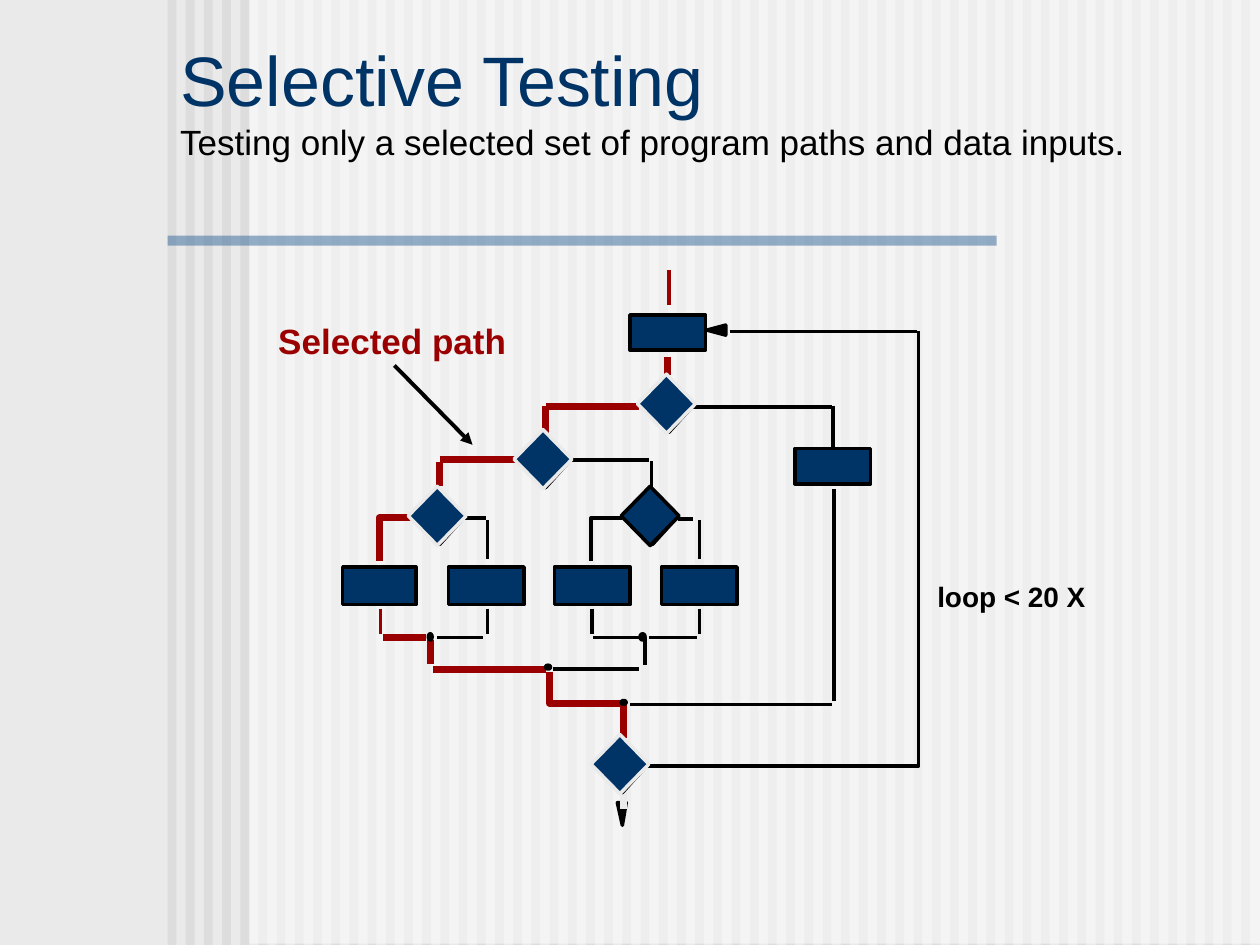
from lxml import etree
from pptx import Presentation
from pptx.dml.color import RGBColor
from pptx.enum import shapes as shp, text as txt
from pptx.oxml import ns
from pptx.util import Cm, Pt

NAVY = RGBColor(0x00, 0x33, 0x66)
BLUE = RGBColor(0x33, 0x66, 0x99)
RED = RGBColor(0x9A, 0x00, 0x00)
BLACK = RGBColor(0, 0, 0)
WHITE = RGBColor(0xFF, 0xFF, 0xFF)
PAPER = RGBColor(0xEA, 0xEA, 0xEA)
STRIPE = RGBColor(0xDD, 0xDD, 0xDD)
FONT = "Arial"
THIN, THICK = 2, 4

# Content; coordinates are in inches and converted to Cm by cm()
TITLE = [("Selective Testing", 40, NAVY),
         ("Testing only a selected set of program paths and data inputs.", 20, BLACK)]
LABELS = [("loop < 20 X", (7.34, 4.55, 1.38, 0.36), 16, BLACK),
          ("Selected path", (2.11, 2.49, 2.01, 0.43), 20, RED)]
STEPS = [(5, 2.5, 0.6, 0.28), (2.72, 4.5, 0.58, 0.3), (3.56, 4.5, 0.6, 0.3),
         (4.4, 4.5, 0.6, 0.3), (5.25, 4.5, 0.6, 0.3)]
SIDE_STEP = (6.31, 3.56, 0.6, 0.28)
DECISIONS = [(5.06, 2.97, PAPER), (4.08, 3.41, PAPER), (3.24, 3.86, PAPER),
             (4.93, 3.86, BLACK), (4.69, 5.83, PAPER)]
JOINS = [(5.08, 5.03, 0.04, 0.05), (3.4, 5.03, 0.03, 0.05),
         (4.33, 5.28, 0.04, 0.03), (4.93, 5.56, 0.04, 0.03)]
SELECTED_LINES = [  # x1, y1, x2, y2, width
    (5.31, 2.14, 5.31, 2.42, THIN), (5.3, 2.83, 5.3, 2.98, THICK),
    (5.07, 3.23, 4.33, 3.23, THICK), (4.33, 3.44, 4.33, 3.22, THICK),
    (4.14, 3.65, 3.49, 3.65, THICK), (3.49, 3.67, 3.49, 3.86, THICK),
    (3.02, 4.83, 3.02, 5.03, THIN), (3.04, 5.06, 3.38, 5.06, THICK),
    (3.42, 5.08, 3.42, 5.27, THICK), (3.44, 5.31, 4.33, 5.31, THICK),
    (4.95, 5.86, 4.95, 5.58, THICK)]
OTHER_LINES = [
    (5.79, 2.63, 7.28, 2.63), (5.5, 3.23, 6.6, 3.23), (4.53, 3.65, 5.15, 3.65),
    (5.17, 3.66, 5.17, 3.88), (3.67, 4.11, 3.86, 4.11), (5.38, 4.12, 5.5, 4.12),
    (3.87, 4.13, 3.87, 4.44), (5.55, 4.13, 5.55, 4.44),
    (3.87, 4.83, 3.87, 5.03), (4.7, 4.83, 4.7, 5.03), (5.55, 4.83, 5.55, 5.03),
    (3.47, 5.06, 3.83, 5.06), (4.71, 5.06, 5.13, 5.06), (5.15, 5.06, 5.53, 5.06),
    (5.12, 5.06, 5.12, 5.28), (5.07, 5.31, 4.39, 5.31),
    (6.62, 3.88, 6.62, 5.56), (5, 5.59, 6.6, 5.59), (4.95, 6.3, 4.95, 6.36)]
BENDS = [
    ([(3.26, 4.11), (3.01, 4.11), (3.01, 4.45)], RED, THICK),
    ([(4.36, 5.33), (4.36, 5.58), (4.94, 5.58)], RED, THICK),
    ([(4.94, 4.11), (4.69, 4.11), (4.69, 4.45)], BLACK, THIN),
    ([(5.14, 6.08), (7.29, 6.08), (7.29, 2.63)], BLACK, THIN)]
ARROWHEADS = [[(5.61, 2.62), (5.76, 2.58), (5.76, 2.66)],
              [(4.94, 6.55), (4.9, 6.37), (4.97, 6.37)]]


def cm(inches):
    return Cm(inches * 2.54)


def add_preset(kind, box, fill, line=None, alpha=None):
    shape = slide.shapes.add_shape(kind, *map(cm, box))
    shape.shadow.inherit = False
    shape.fill.solid()
    shape.fill.fore_color.rgb = fill
    if alpha:
        color = shape._element.spPr.find(".//" + ns.qn("a:srgbClr"))
        etree.SubElement(color, ns.qn("a:alpha"), val=str(alpha * 1000))
    if line is None:
        shape.line.fill.background()
    else:
        shape.line.color.rgb = line
        shape.line.width = Pt(THIN)
    return shape


def add_line(x1, y1, x2, y2, color=BLACK, width=THIN):
    line = slide.shapes.add_connector(shp.MSO_CONNECTOR.STRAIGHT,
                                      *map(cm, (x1, y1, x2, y2)))
    line.line.color.rgb = color
    line.line.width = Pt(width)
    etree.SubElement(line._element.spPr, ns.qn("a:effectLst"))
    return line


def add_outline(points, color=BLACK, width=THIN, close=False, fill=None):
    start, *rest = [(cm(x), cm(y)) for x, y in points]
    builder = slide.shapes.build_freeform(*start, scale=1.0)
    builder.add_line_segments(rest, close=close)
    outline = builder.convert_to_shape()
    outline.shadow.inherit = False
    if fill is None:
        outline.fill.background()
    else:
        outline.fill.solid()
        outline.fill.fore_color.rgb = fill
    outline.line.color.rgb = color
    outline.line.width = Pt(width)


prs = Presentation()
prs.slide_width, prs.slide_height = cm(10), cm(7.5)
slide = prs.slides.add_slide(prs.slide_layouts[5])
RECT, DIAMOND, OVAL = (shp.MSO_SHAPE.RECTANGLE, shp.MSO_SHAPE.DIAMOND,
                       shp.MSO_SHAPE.OVAL)

# Striped backdrop, pale wash and rule under the title
slide.background.fill.solid()
slide.background.fill.fore_color.rgb = PAPER
for i in range(60):
    add_preset(RECT, (1.33 + i * 8.52 / 59, 0, 0.07, 7.5), STRIPE)
add_preset(RECT, (1.98, 0, 8.02, 7.49), WHITE, alpha=50)
add_preset(RECT, (1.33, 1.87, 6.58, 0.08), BLUE, alpha=50)

# Title, brought in front of the backdrop
title = slide.shapes.title
title.left, title.top, title.width, title.height = map(cm, (1.33, 0.25, 8.17, 1.08))
slide.shapes._spTree.append(title._element)
frame = title.text_frame
frame.word_wrap = True
frame.auto_size = txt.MSO_AUTO_SIZE.NONE
frame.vertical_anchor = txt.MSO_ANCHOR.MIDDLE
heading = frame.paragraphs[0]
heading.alignment = txt.PP_ALIGN.LEFT
heading.font.name = FONT
for i, (words, size, color) in enumerate(TITLE):
    if i:
        heading.add_line_break()
    run = heading.add_run()
    run.text = words
    run.font.size = Pt(size)
    run.font.color.rgb = color

# Flow chart: steps, then the paths between them
for box in STEPS:
    add_preset(RECT, box, NAVY, BLACK)
side_step = add_preset(RECT, SIDE_STEP, NAVY, BLACK)
add_line(6.61, 3.22, 6.61, 3.56).end_connect(side_step, 0)
for ends in OTHER_LINES:
    add_line(*ends)
for *ends, width in SELECTED_LINES:
    add_line(*ends, RED, width)
for points, color, width in BENDS:
    add_outline(points, color, width)
for box in JOINS:
    add_preset(OVAL, box, BLACK, BLACK)
for points in ARROWHEADS:
    add_outline(points, close=True, fill=BLACK)
add_line(4.95, 6.42, 4.95, 6.28, PAPER, THICK)

# Decisions, each over a slightly offset black outline
for x, y, edge in DECISIONS:
    cx, cy = x + 0.25, y + 0.25
    add_outline([(cx - 0.19, cy), (cx, cy - 0.21), (cx + 0.19, cy), (cx, cy + 0.21)],
                close=True)
    add_preset(DIAMOND, (x, y, 0.46, 0.47), NAVY, edge)

# Labels and the pointer to the selected path
for words, box, size, color in LABELS:
    label = slide.shapes.add_textbox(*map(cm, box)).text_frame
    label.word_wrap = False
    label.text = words
    font = label.paragraphs[0].font
    font.name, font.size, font.bold = FONT, Pt(size), True
    font.color.rgb = color
pointer = add_line(3.13, 2.9, 3.75, 3.53, BLACK, 2.25)
etree.SubElement(pointer.line._get_or_add_ln(), ns.qn("a:tailEnd"), type="triangle")

prs.save("out.pptx")
